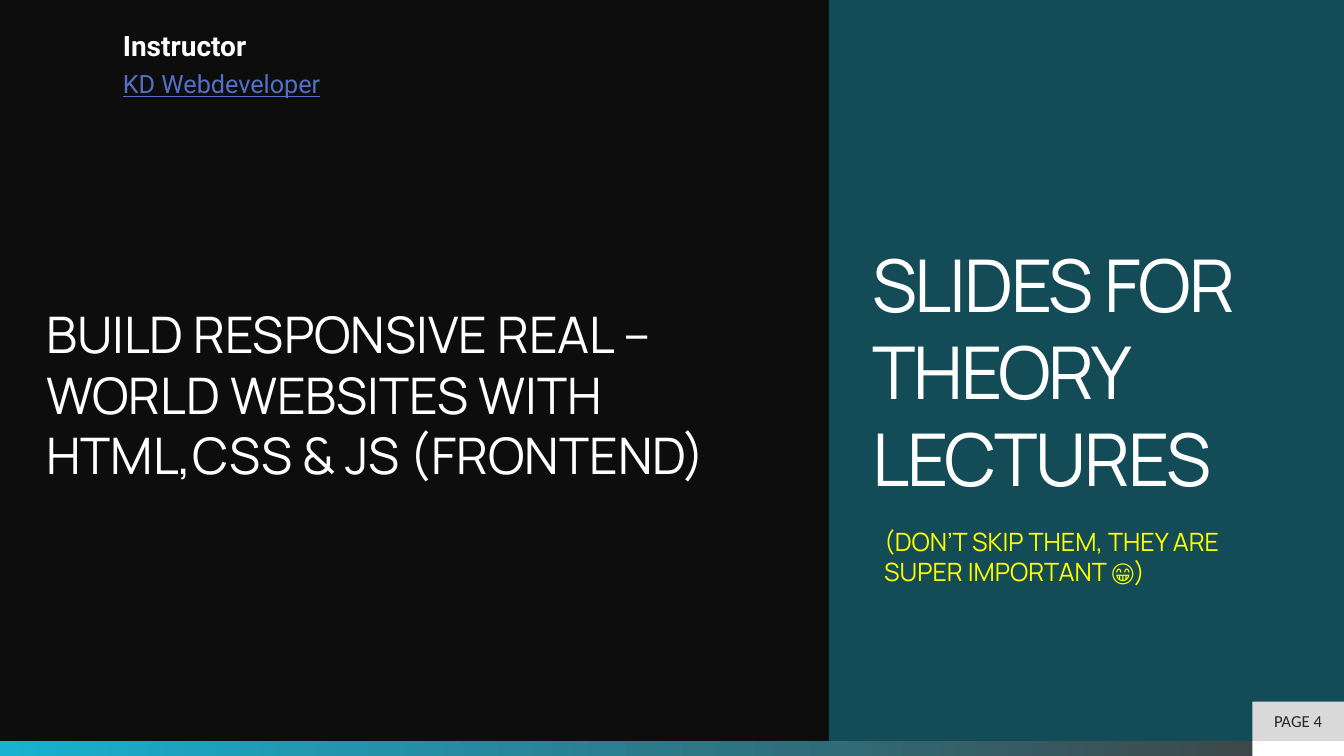
from pptx import Presentation
from pptx.dml.color import RGBColor
from pptx.enum.shapes import MSO_SHAPE
from pptx.enum.text import MSO_ANCHOR, MSO_AUTO_SIZE, PP_ALIGN
from pptx.util import Inches, Pt

THEME = {
    "night": "0D0D0D", "teal": "134B56", "cyan": "17B2D1", "slate": "404040",
    "tab": "D9D9D9", "ink": "262626", "white": "FFFFFF", "yellow": "FFFF00",
    "link": "5370C5",
    "title": 52, "headline": 36, "name": 20, "note": 18, "page": 12,
    "display": "Manrope", "label": "Roboto", "number": "Calibri",
}
WIDTH, HEIGHT = 13.33, 7.5
BAR_TOP = 0.98 * HEIGHT
PANEL_LEFT = 8.22
TAB_LEFT, TAB_TOP = 12.42, 6.96


def add_block(page, left, top, width, height, color):
    block = page.shapes.add_shape(MSO_SHAPE.RECTANGLE, Inches(left), Inches(top),
                                  Inches(width), Inches(height))
    block.shadow.inherit = False
    block.line.fill.background()
    block.fill.solid()
    block.fill.fore_color.rgb = RGBColor.from_string(THEME[color])
    return block


def write(box, text, size, font, color, align=PP_ALIGN.LEFT):
    box.text_frame.word_wrap = True
    para = box.text_frame.paragraphs[0]
    para.alignment = align
    span = para.add_run()
    span.text = text
    span.font.size = Pt(THEME[size])
    span.font.name = THEME[font]
    span.font.color.rgb = RGBColor.from_string(THEME[color])
    return span


deck = Presentation()
deck.slide_width, deck.slide_height = Inches(WIDTH), Inches(HEIGHT)
page = deck.slides.add_slide(deck.slide_layouts[5])
page.background.fill.solid()
page.background.fill.fore_color.rgb = RGBColor.from_string(THEME["night"])

bar = add_block(page, 0, BAR_TOP, WIDTH, HEIGHT - BAR_TOP, "cyan")
bar.fill.gradient()
bar.fill.gradient_angle = 0
for stop, color, position in zip(bar.fill.gradient_stops, ("cyan", "slate"), (0, 1)):
    stop.color.rgb = RGBColor.from_string(THEME[color])
    stop.position = position
add_block(page, TAB_LEFT, BAR_TOP, WIDTH - TAB_LEFT, HEIGHT - BAR_TOP, "white")

title = page.shapes.title
title.left, title.top = Inches(PANEL_LEFT), 0
title.width, title.height = Inches(WIDTH - PANEL_LEFT), Inches(BAR_TOP)
title.fill.solid()
title.fill.fore_color.rgb = RGBColor.from_string(THEME["teal"])
title.text_frame.auto_size = MSO_AUTO_SIZE.NONE
title.text_frame.vertical_anchor = MSO_ANCHOR.MIDDLE
title.text_frame.margin_left = title.text_frame.margin_right = Inches(0.43)
span = write(title, "SLIDES FOR THEORY LECTURES", "title", "display", "white")
span.font._element.set("spc", "-150")
page.shapes._spTree.append(title._element)

tab = add_block(page, TAB_LEFT, TAB_TOP, WIDTH - TAB_LEFT, BAR_TOP - TAB_TOP, "tab")
tab.text_frame.vertical_anchor = MSO_ANCHOR.MIDDLE
write(tab, "PAGE 4", "page", "number", "ink", PP_ALIGN.CENTER)

texts = [
    (8.67, 5.17, 4.22, 0.71, "(DON’T SKIP THEM, THEY ARE SUPER IMPORTANT 😁)",
     "note", "display", "yellow", False, False),
    (0.36, 2.96, 7.13, 1.92,
     "BUILD RESPONSIVE REAL – WORLD WEBSITES WITH HTML,CSS & JS (FRONTEND)",
     "headline", "display", "white", False, False),
    (1.12, 0.63, 2.45, 0.4, "KD Webdeveloper", "note", "label", "link", False, True),
    (1.12, 0.23, 2.45, 0.44, "Instructor", "name", "label", "white", True, False),
]
for left, top, width, height, text, size, font, color, bold, underline in texts:
    box = page.shapes.add_textbox(Inches(left), Inches(top), Inches(width), Inches(height))
    box.text_frame.auto_size = MSO_AUTO_SIZE.SHAPE_TO_FIT_TEXT
    span = write(box, text, size, font, color)
    span.font.bold = bold
    span.font.underline = underline

deck.save("out.pptx")
